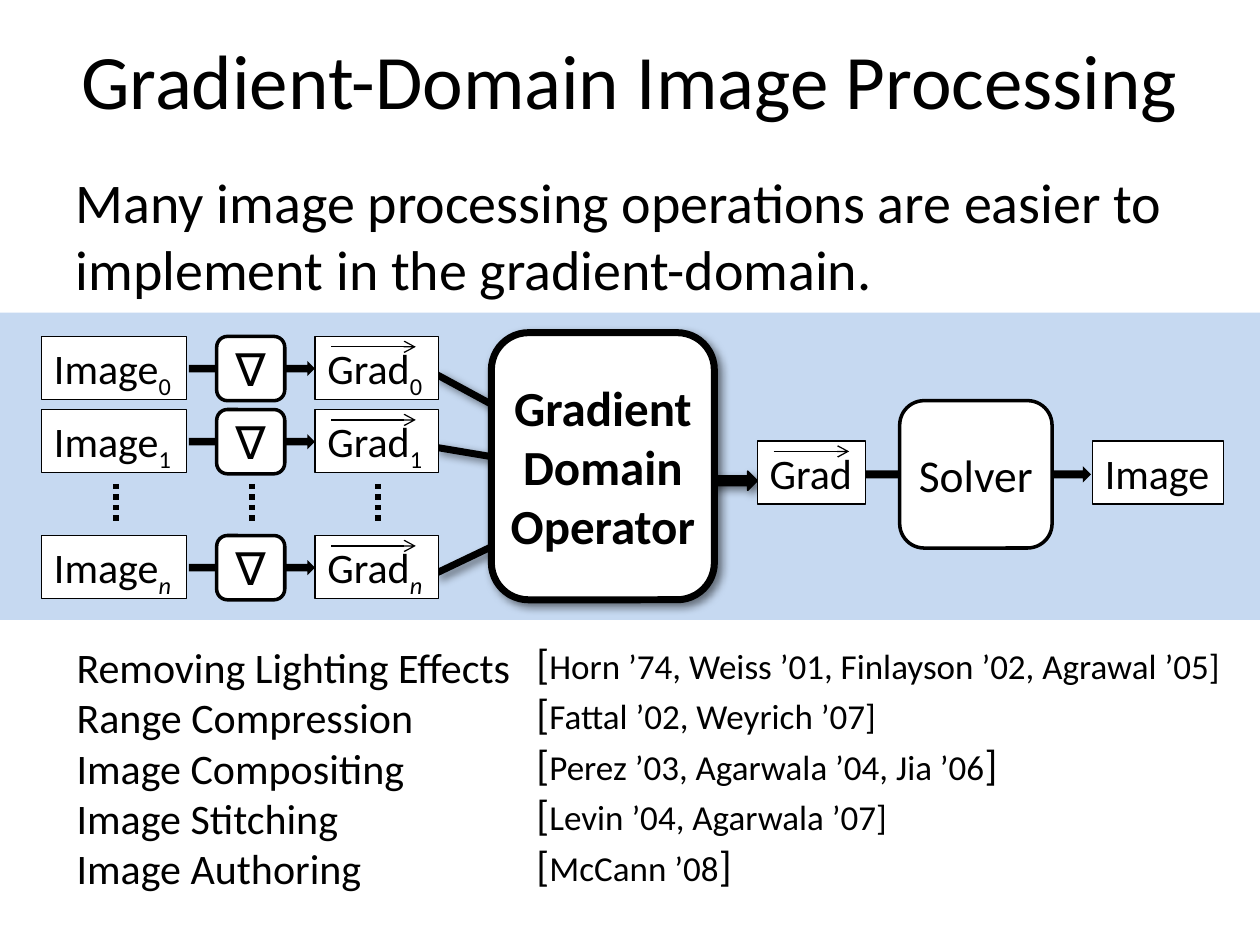
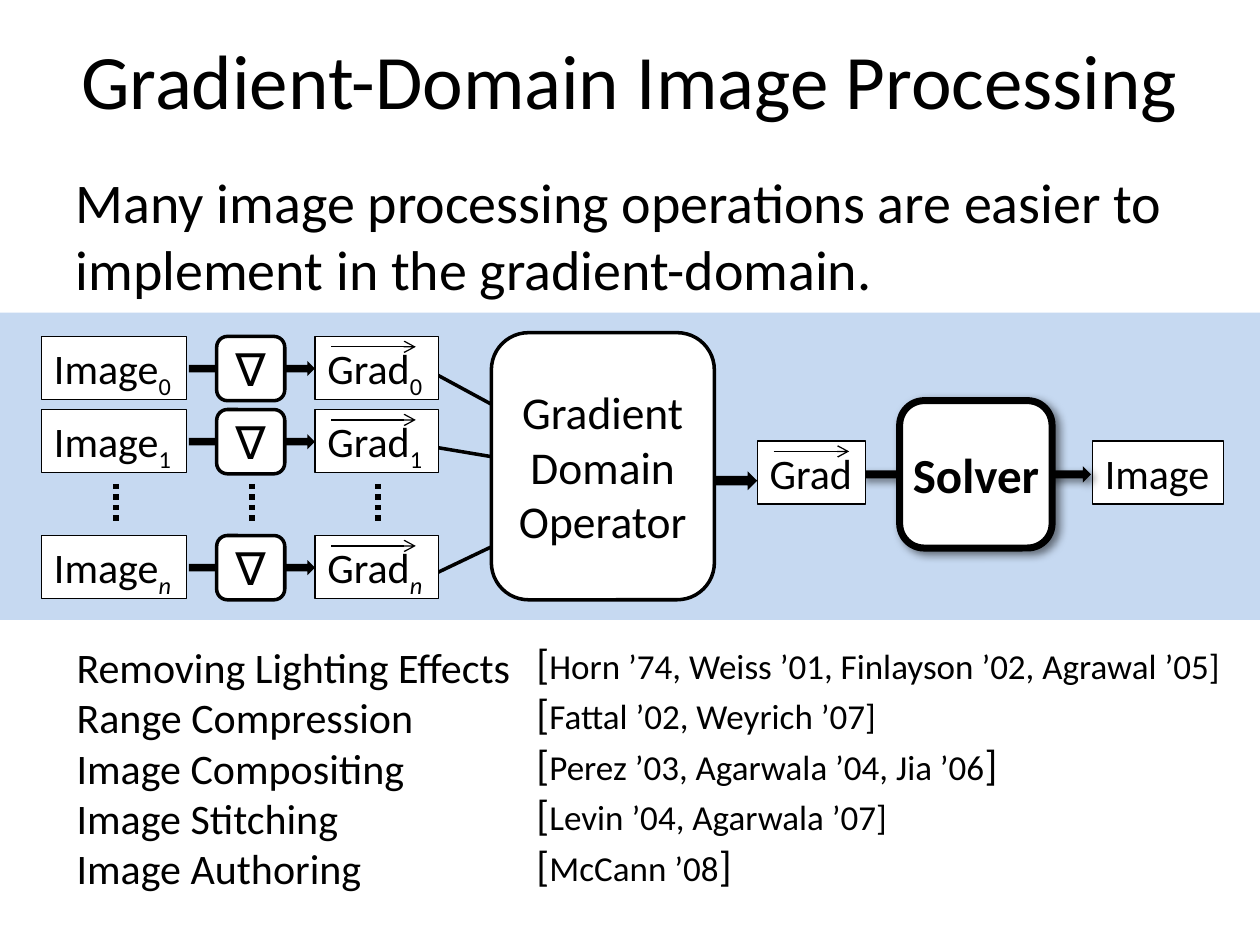
from lxml.etree import SubElement
from pptx import Presentation
from pptx.dml.color import RGBColor
from pptx.enum.dml import MSO_LINE
from pptx.enum.shapes import MSO_CONNECTOR, MSO_SHAPE
from pptx.enum.text import MSO_ANCHOR, MSO_AUTO_SIZE, PP_ALIGN
from pptx.oxml.ns import qn
from pptx.util import Inches, Pt

BLACK = RGBColor(0x00, 0x00, 0x00)
WHITE = RGBColor(0xFF, 0xFF, 0xFF)
BLUE = RGBColor(0xC6, 0xD9, 0xF1)
FONT = "Calibri"

# The slide is a grid of 100 columns and 100 rows
WIDTH, HEIGHT = Inches(10), Inches(7.5)
COL, ROW = WIDTH / 100, HEIGHT / 100

HEAD = (5, 0, 90, 16.67)
BODY = (5, 17.07, 90, 76.67)
BAND = (0, 33.07, 100, 32.53)
TASKS = (2.5, 67.2, 39.4, 28.27)
REFS = (39, 66.8, 59.3, 28.27)

TITLE = "Gradient-Domain Image Processing"
CLAIM = ("Many image processing operations are easier to "
         "implement in the gradient-domain.")
TASK_LIST = ["Removing Lighting Effects", "Range Compression",
             "Image Compositing", "Image Stitching", "Image Authoring"]
# Names, and the size of the closing bracket
REF_LIST = [("Horn ’74, Weiss ’01, Finlayson ’02, Agrawal ’05", 20),
            ("Fattal ’02, Weyrich ’07", 20),
            ("Perez ’03, Agarwala ’04, Jia ’06", 24),
            ("Levin ’04, Agarwala ’07", 20),
            ("McCann ’08", 24)]

# Rows of the pipeline inside the band: index and top
LANES = [("0", 2.53), ("1", 10.27), ("n", 23.6)]
BOX_H = 6.67
DOTS = (18.13, 22.4)
MID = 13.6


def place(shape, box):
    x, y, w, h = box
    shape.left, shape.top = round(x * COL), round(y * ROW)
    shape.width, shape.height = round(w * COL), round(h * ROW)


def shift(box, x, y, w, h):
    return box[0] + x, box[1] + y, w, h


def write(frame, paras, align=PP_ALIGN.LEFT, hang=None, **base):
    """Fill a frame; each paragraph is a list of (text, format) runs."""
    for i, runs in enumerate(paras):
        para = frame.add_paragraph() if i else frame.paragraphs[0]
        para.alignment = align
        para.space_before = Pt(0)
        if hang is not None:
            left, first = hang
            props = para._p.get_or_add_pPr()
            props.set("marL", str(Inches(left)))
            props.set("indent", str(Inches(first)))
            SubElement(props, qn("a:buNone"))
        for text, own in runs:
            style = base | own
            for j, part in enumerate(text.split("\n")):
                if j:
                    para.add_line_break()
                run = para.add_run()
                run.text = part
                font = run.font
                font.name, font.size = FONT, Pt(style["size"])
                font.bold = style.get("bold", False)
                font.italic = style.get("italic", False)
                font.color.rgb = BLACK
                if style.get("sub"):
                    run._r.get_or_add_rPr().set("baseline", "-25000")


def shade(effects):
    """Add a soft shadow to the lower right."""
    outer = SubElement(effects, qn("a:outerShdw"), blurRad=str(Pt(5)),
                       dist=str(Pt(3)), dir="2700000", algn="tl", rotWithShape="0")
    color = SubElement(outer, qn("a:srgbClr"), val=str(BLACK))
    SubElement(color, qn("a:alpha"), val="50000")


def draw(slide, kind, box, fill=WHITE, line=0, glow=False):
    shape = slide.shapes.add_shape(kind, 0, 0, 0, 0)
    place(shape, box)
    shape.fill.solid()
    shape.fill.fore_color.rgb = fill
    if line:
        shape.line.color.rgb = BLACK
        shape.line.width = Pt(line)
    else:
        shape.line.fill.background()
    shape.shadow.inherit = False
    if glow:
        shade(shape._element.spPr.find(qn("a:effectLst")))
    return shape


def link(slide, start, end, width, dots=False, arrow=False, glow=False):
    (x1, y1), (x2, y2) = start, end
    wire = slide.shapes.add_connector(
        MSO_CONNECTOR.STRAIGHT, round(x1 * COL), round(y1 * ROW),
        round(x2 * COL), round(y2 * ROW))
    wire.line.color.rgb = BLACK
    wire.line.width = Pt(width)
    if dots:
        wire.line.dash_style = MSO_LINE.ROUND_DOT
    props = wire._element.spPr
    if arrow:
        SubElement(props.find(qn("a:ln")), qn("a:tailEnd"), type="arrow")
    effects = SubElement(props, qn("a:effectLst"))
    if glow:
        shade(effects)


def label(slide, box, text, index=""):
    """White box with a name and an optional subscript."""
    frame = draw(slide, MSO_SHAPE.RECTANGLE, box, line=0.75).text_frame
    frame.word_wrap = False
    frame.auto_size = MSO_AUTO_SIZE.SHAPE_TO_FIT_TEXT
    frame.vertical_anchor = MSO_ANCHOR.TOP
    runs = [(text, {})]
    if index:
        runs.append((index, {"sub": True, "italic": index == "n"}))
    write(frame, [runs], size=24)


def vector(slide, box, text, index="", reach=6.7):
    """Label with an arrow above its name."""
    label(slide, box, text, index)
    x, y = box[0] + 1.3, box[1] + 1.1
    link(slide, (x, y), (x + reach, y), 0.75, arrow=True)


def node(slide, box, text, strong=False):
    """Rounded process step, heavier when strong."""
    shape = draw(slide, MSO_SHAPE.ROUNDED_RECTANGLE, box,
                 line=4 if strong else 2, glow=strong)
    frame = shape.text_frame
    frame.margin_left = frame.margin_right = 0
    frame.margin_top = frame.margin_bottom = 0
    frame.vertical_anchor = MSO_ANCHOR.MIDDLE
    write(frame, [[(text, {})]], align=PP_ALIGN.CENTER,
          size=28 if strong else 26, bold=strong)


def arrow(slide, box, **style):
    draw(slide, MSO_SHAPE.RIGHT_ARROW, box, fill=BLACK, **style)


def dotted(slide, box, x):
    top, end = (box[1] + y for y in DOTS)
    link(slide, (box[0] + x, top), (box[0] + x, end), 3, dots=True)


def inputs(slide, box):
    for index, y in LANES:
        label(slide, shift(box, 3.3, y, 11.5, BOX_H), "Image", index)
    dotted(slide, box, 9.2)


def merge(slide, box, strong):
    """Lines from all gradients into the operator."""
    arrow(slide, shift(box, 50.1, 16.8, 10, 2),
          line=1 if strong else 0, glow=strong)
    hub = (box[0] + 50.1, box[1] + 17.73)
    for _, y in LANES:
        link(slide, (box[0] + 34.6, box[1] + y + 4), hub,
             4 if strong else 2, glow=strong)
    node(slide, shift(box, 39, 2.13, 17.7, 28.27),
         "Gradient\nDomain\nOperator", strong)


def slopes(slide, box):
    """Gradient step and its result in each lane."""
    for index, y in LANES:
        arrow(slide, shift(box, 15, y + 2.6, 10, 1.6))
        node(slide, shift(box, 17.2, y, 5.4, 6.8), "∇")
        vector(slide, shift(box, 25, y, 9.8, BOX_H), "Grad", index)
    for x in (20, 30):
        dotted(slide, box, x)


def solve(slide, box, strong):
    arrow(slide, shift(box, 68.3, 16.27, 18.3, 1.73), glow=strong)
    node(slide, shift(box, 71.4, 9.33, 12.1, 15.6), "Solver", strong)
    vector(slide, shift(box, 60.1, MID, 8.6, BOX_H), "Grad", reach=6)


def flow(slide, box, focus):
    """Blue band with the whole pipeline."""
    draw(slide, MSO_SHAPE.RECTANGLE, box, fill=BLUE)
    inputs(slide, box)
    label(slide, shift(box, 86.7, MID, 10.4, BOX_H), "Image")
    merge(slide, box, focus == "operator")
    slopes(slide, box)
    solve(slide, box, focus == "solver")


def column(slide, box, paras):
    area = slide.shapes.add_textbox(0, 0, 0, 0)
    place(area, box)
    area.text_frame.word_wrap = False
    area.text_frame.auto_size = MSO_AUTO_SIZE.SHAPE_TO_FIT_TEXT
    write(area.text_frame, paras, hang=(0.51, -0.25), size=24)


def page(deck, focus):
    slide = deck.slides.add_slide(deck.slide_layouts[1])
    # Title and claim
    head, body = slide.placeholders
    place(head, HEAD)
    head.text_frame.vertical_anchor = MSO_ANCHOR.MIDDLE
    write(head.text_frame, [[(TITLE, {})]], align=PP_ALIGN.CENTER, size=44)
    place(body, BODY)
    write(body.text_frame, [[(CLAIM, {})]], hang=(0, 0), size=32)
    # Pipeline
    flow(slide, BAND, focus)
    # Uses and their references
    column(slide, TASKS, [[(task, {})] for task in TASK_LIST])
    column(slide, REFS, [[("[", {}), (names, {"size": 20}), ("]", {"size": end})]
                         for names, end in REF_LIST])


def main():
    deck = Presentation()
    deck.slide_width, deck.slide_height = WIDTH, HEIGHT
    for focus in ("operator", "solver"):
        page(deck, focus)
    deck.save("out.pptx")


if __name__ == "__main__":
    main()
